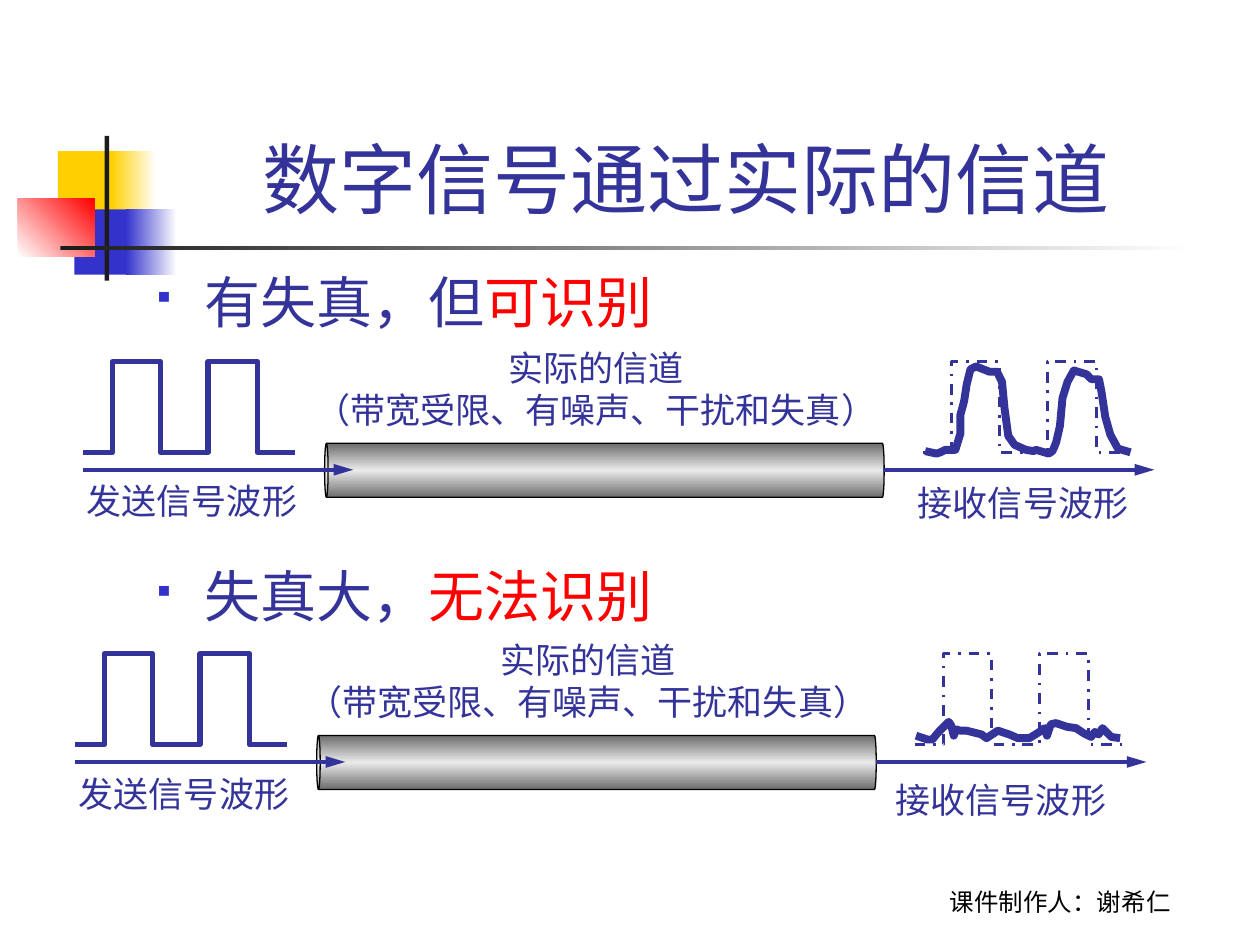
from copy import deepcopy

from lxml import etree
from pptx import Presentation
from pptx import util as u
from pptx.dml.color import RGBColor
from pptx.enum import dml, shapes, text
from pptx.oxml.ns import qn

INK, RED, BLUE, YELLOW = "333399", "FF0000", "3333CC", "FFCF01"
BLACK, DARK, WHITE = "000000", "1C1C1C", "FFFFFF"
PIPE = ["6C6C6C", "EAEAEA", "6C6C6C"]
CJK = "Noto Sans CJK SC"
UNIT = u.Cm(0.0254)

PULSES = [(0, 72), (23, 72), (23, 0), (61, 0), (61, 72), (99, 72),
          (99, 0), (138, 0), (138, 72), (168, 72)]
DISTORTED = [
    (2, 71), (11, 73), (14, 72), (18, 70), (26, 70), (30, 57), (30, 42),
    (32, 35), (33, 31), (35, 18), (38, 6), (42, 4), (43, 4), (53, 8),
    (59, 8), (63, 16), (65, 37), (68, 59), (73, 66), (82, 70), (88, 71),
    (90, 70), (100, 73), (103, 71), (104, 69), (106, 64), (109, 51),
    (111, 29), (115, 16), (120, 7), (130, 10), (134, 14), (140, 14),
    (142, 24), (145, 44), (149, 58), (155, 69), (165, 72)]
UNREADABLE = [
    (1, 65), (10, 68), (14, 68), (19, 62), (27, 54), (29, 57), (31, 65),
    (33, 60), (36, 61), (41, 61), (53, 64), (57, 67), (66, 61), (75, 64),
    (82, 67), (91, 67), (99, 62), (103, 59), (105, 65), (108, 56),
    (112, 55), (121, 58), (128, 59), (134, 63), (140, 66), (143, 62),
    (146, 64), (149, 59), (156, 66), (163, 67)]


def rgb(value):
    """Turn a hex string into a colour."""
    return RGBColor.from_string(value)


def add_text(p, content, size=20, font=CJK, color=INK):
    """Add a formatted run to a paragraph."""
    r = p.add_run()
    r.text = content
    r.font.size = u.Pt(size)
    r.font.name = font
    r.font.color.rgb = rgb(color)


def place(sp, x, y, w, h):
    """Move and size a shape in centimetres."""
    sp.left, sp.top, sp.width, sp.height = map(u.Cm, (x, y, w, h))


def add_label(s, box, lines, align=text.PP_ALIGN.CENTER, wrap=False,
              anchor=text.MSO_ANCHOR.TOP, **style):
    """Add a text box with one paragraph per line."""
    tf = s.shapes.add_textbox(*map(u.Cm, box)).text_frame
    tf.word_wrap = wrap
    tf.vertical_anchor = anchor
    for i, line in enumerate(lines):
        p = tf.add_paragraph() if i else tf.paragraphs[0]
        p.alignment = align
        add_text(p, line, **style)


def add_block(s, box, colors, angle=0, kind=shapes.MSO_SHAPE.RECTANGLE):
    """Add a borderless shape with a solid or an evenly spaced gradient fill."""
    sp = s.shapes.add_shape(kind, *map(u.Cm, box))
    sp.shadow.inherit = False
    sp.line.fill.background()
    if len(colors) == 1:
        sp.fill.solid()
        sp.fill.fore_color.rgb = rgb(colors[0])
        return sp
    sp.fill.gradient()
    sp.fill.gradient_angle = angle
    stops = sp._element.spPr.find(qn("a:gradFill")).find(qn("a:gsLst"))
    for _ in colors[2:]:
        stops.append(deepcopy(stops[-1]))
    for i, (stop, color) in enumerate(zip(sp.fill.gradient_stops, colors)):
        stop.color.rgb = rgb(color)
        stop.position = i / (len(colors) - 1)
    return sp


def add_wave(s, x, y, points, width, dash=None):
    """Draw an open waveform from points in hundredths of an inch."""
    builder = s.shapes.build_freeform(*points[0], scale=UNIT)
    builder.add_line_segments(points[1:], close=False)
    sp = builder.convert_to_shape(u.Cm(x), u.Cm(y))
    sp.shadow.inherit = False
    sp.fill.background()
    sp.line.color.rgb = rgb(INK)
    sp.line.width = u.Pt(width)
    if dash:
        sp.line.dash_style = dash


def add_arrow(s, x1, x2, y):
    """Draw a horizontal arrow."""
    line = s.shapes.add_connector(shapes.MSO_CONNECTOR.STRAIGHT,
                                  *map(u.Cm, (x1, y, x2, y)))
    line.line.color.rgb = rgb(INK)
    line.line.width = u.Pt(2.25)
    etree.SubElement(line.line._get_or_add_ln(), qn("a:tailEnd"),
                     type="triangle", len="lg")
    etree.SubElement(line._element.spPr, qn("a:effectLst"))


def add_pipe(s, x, y):
    """Draw the channel as a lying cylinder."""
    sp = add_block(s, (x, y, 1.09, 11.28), PIPE, kind=shapes.MSO_SHAPE.CAN)
    sp.rotation = 270
    sp.adjustments[0] = 0.065
    sp.line.color.rgb = rgb(BLACK)
    sp.line.width = u.Pt(0.75)


def add_channel(s, x, y, received, receive_box):
    """Draw sent wave, channel and received wave with their labels."""
    add_pipe(s, x + 9.96, y - 3.45)
    add_wave(s, x, y, PULSES, 3)
    add_arrow(s, x, x + 5.44, y + 2.18)
    add_wave(s, x + 16.92, y, PULSES, 1.5, dml.MSO_LINE.DASH_DOT)
    add_arrow(s, x + 16.13, x + 21.59, y + 2.18)
    add_wave(s, x + 16.92, y, received, 4.5)
    add_label(s, (x + 3.83, y - 0.43, 13, 1.96),
              ["实际的信道", "（带宽受限、有噪声、干扰和失真）"],
              font="Times New Roman")
    add_label(s, (x - 0.18, y + 2.26, 4.75, 1.12), ["发送信号波形"],
              align=text.PP_ALIGN.LEFT)
    add_label(s, receive_box, ["接收信号波形"], wrap=True)


def add_bullet(p, plain, marked, before=0):
    """Fill a square-bulleted paragraph that ends in red."""
    p.line_spacing = 1.1
    p.space_before = u.Pt(before)
    pr = p._p.get_or_add_pPr()
    pr.set("marL", str(u.Cm(0.97)))
    pr.set("indent", str(-u.Cm(0.97)))
    color = etree.SubElement(pr, qn("a:buClr"))
    etree.SubElement(color, qn("a:srgbClr"), val=BLUE)
    etree.SubElement(pr, qn("a:buSzPct"), val="60000")
    etree.SubElement(pr, qn("a:buFont"), typeface="Wingdings", charset="2")
    etree.SubElement(pr, qn("a:buChar"), char="§")
    add_text(p, plain, size=32, font="Arial")
    add_text(p, marked, size=32, font="Arial", color=RED)


def add_decor(s):
    """Draw the coloured blocks and rules beside the title."""
    add_block(s, (1.17, 3.05, 1.22, 1.32), [YELLOW])
    add_block(s, (2.24, 3.05, 0.91, 1.32), [YELLOW, WHITE])
    add_block(s, (1.5, 4.22, 1.17, 1.32), [BLUE])
    add_block(s, (2.54, 4.22, 1.02, 1.32), [BLUE, WHITE])
    add_block(s, (0.36, 4.01, 1.55, 1.17), [WHITE, RED], angle=45)
    add_block(s, (2.11, 2.74, 0.09, 2.92), [DARK])
    add_block(s, (1.22, 4.95, 22.86, 0.09), [DARK, WHITE])


def fill_placeholders(s):
    """Place and fill the title and the list."""
    title, body = s.shapes.title, s.placeholders[1]
    place(title, 3.2, 0.58, 21.64, 4.06)
    place(body, 2.9, 5.13, 21.59, 11.43)
    for sp in (title, body):
        sp.text_frame.auto_size = text.MSO_AUTO_SIZE.NONE
    title.text_frame.vertical_anchor = text.MSO_ANCHOR.BOTTOM
    p = title.text_frame.paragraphs[0]
    p.alignment = text.PP_ALIGN.CENTER
    add_text(p, "数字信号通过实际的信道 ", size=44, font="Arial")
    tf = body.text_frame
    add_bullet(tf.paragraphs[0], "有失真，但", "可识别")
    add_bullet(tf.add_paragraph(), "失真大，", "无法识别", before=126)


def main():
    """Build the slide."""
    prs = Presentation()
    prs.slide_width, prs.slide_height = u.Cm(25.4), u.Cm(19.05)
    s = prs.slides.add_slide(prs.slide_layouts[1])
    add_decor(s)
    fill_placeholders(s)
    add_label(s, (17.35, 17.32, 8.05, 1.27), ["课件制作人：谢希仁"], wrap=True,
              anchor=text.MSO_ANCHOR.BOTTOM, size=14, font="Cabin", color=BLACK)
    add_channel(s, 1.68, 7.29, DISTORTED, (17.96, 9.58, 5.33, 1.12))
    add_channel(s, 1.52, 13.18, UNREADABLE, (17.6, 15.57, 5.16, 1.12))
    prs.save("out.pptx")


if __name__ == "__main__":
    main()
